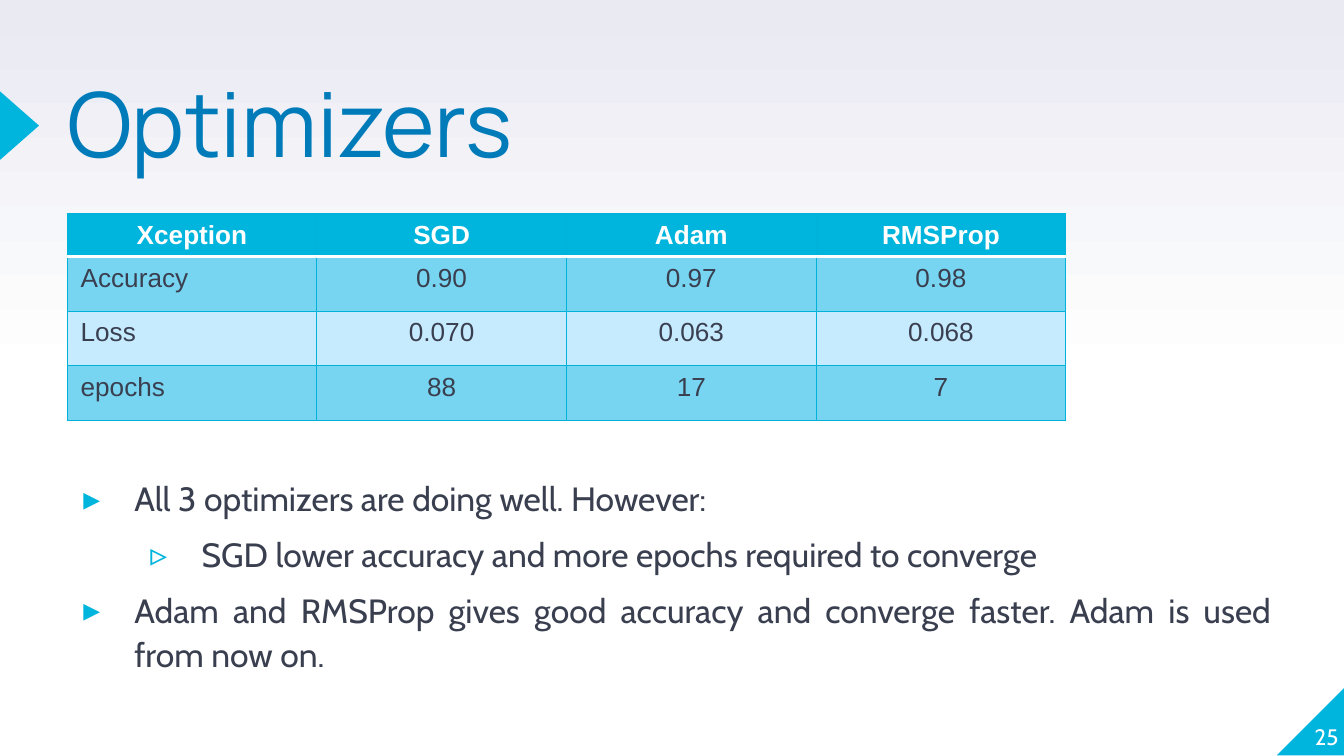
from lxml import etree
from pptx import Presentation
from pptx.dml.color import RGBColor
from pptx.enum.shapes import MSO_SHAPE
from pptx.enum.text import MSO_ANCHOR, MSO_AUTO_SIZE, PP_ALIGN
from pptx.oxml.ns import qn
from pptx.util import Inches, Pt

LEFT, CENTER, RIGHT, JUSTIFY = PP_ALIGN.LEFT, PP_ALIGN.CENTER, PP_ALIGN.RIGHT, PP_ALIGN.JUSTIFY
TOP, BOTTOM = MSO_ANCHOR.TOP, MSO_ANCHOR.BOTTOM

CYAN, BLUE, DARK, WHITE = "00B5DD", "007BB9", "3A3F50", "FFFFFF"
BORDER, BAND_DARK, BAND_LIGHT = "00B1D8", "77D5F1", "C6EBFF"

TITLE = "Optimizers"
PAGE = "25"
RESULTS = [
    ("Xception", "SGD", "Adam", "RMSProp"),
    ("Accuracy", "0.90", "0.97", "0.98"),
    ("Loss", "0.070", "0.063", "0.068"),
    ("epochs", "88", "17", "7"),
]
BULLETS = [
    (0, "All 3 optimizers are doing well. However:"),
    (1, "SGD lower accuracy and more epochs required to converge"),
    (0, "Adam and RMSProp gives good accuracy and converge faster. Adam is used from now on."),
]
MARKS = "▸▹"
TABLE_W, TABLE_H, HEADER_H = 7.43, 1.54, 0.32


def rgb(color):
    return RGBColor.from_string(color)


def box(*lengths):
    return [Inches(n) for n in lengths]


def add_run(p, text, size, font, color, bold=False):
    r = p.add_run()
    r.text = text
    r.font.size, r.font.name, r.font.bold = Pt(size), font, bold
    r.font.color.rgb = rgb(color)


def setup_frame(tf, anchor):
    tf.word_wrap = True
    tf.auto_size = MSO_AUTO_SIZE.NONE
    tf.vertical_anchor = anchor
    tf.margin_left = tf.margin_top = tf.margin_right = tf.margin_bottom = 0
    return tf


def add_ornament(slide, kind, *at):
    sp = slide.shapes.add_shape(kind, *box(*at))
    sp.shadow.inherit = False
    sp.fill.solid()
    sp.fill.fore_color.rgb = rgb(CYAN)
    sp.line.fill.background()
    return sp


def set_bullet(p, level):
    pPr = p._p.get_or_add_pPr()
    pPr.set("marL", str(Inches(0.5 * (level + 1))))
    pPr.set("indent", str(Inches(-0.38)))
    clr = etree.SubElement(pPr, qn("a:buClr"))
    etree.SubElement(clr, qn("a:srgbClr"), val=CYAN)
    etree.SubElement(pPr, qn("a:buFont"), typeface="Cabin")
    etree.SubElement(pPr, qn("a:buChar"), char=MARKS[level])


def set_borders(cell, top, bottom):
    """Draw thin sides, with top and bottom as (colour, points) pairs."""
    thin = (BORDER, 0.75)
    tcPr = cell._tc.get_or_add_tcPr()
    sides = [("lnL", thin), ("lnR", thin), ("lnT", top), ("lnB", bottom)]
    for i, (side, (color, width)) in enumerate(sides):
        ln = etree.Element(qn("a:" + side), w=str(Pt(width)))
        fill = etree.SubElement(ln, qn("a:solidFill"))
        etree.SubElement(fill, qn("a:srgbClr"), val=color)
        tcPr.insert(i, ln)


def add_results(slide):
    n_rows, n_cols = len(RESULTS), len(RESULTS[0])
    row_h = (TABLE_H - HEADER_H) / (n_rows - 1)
    thin, thick = (BORDER, 0.75), (WHITE, 2)
    table = slide.shapes.add_table(
        n_rows, n_cols, *box(0.5, 1.59, TABLE_W, TABLE_H)).table
    for col in table.columns:
        col.width = Inches(TABLE_W / n_cols)
    for i, row in enumerate(RESULTS):
        header = i == 0
        table.rows[i].height = Inches(HEADER_H if header else row_h)
        band = CYAN if header else BAND_DARK if i % 2 else BAND_LIGHT
        for j, text in enumerate(row):
            cell = table.cell(i, j)
            cell.fill.solid()
            cell.fill.fore_color.rgb = rgb(band)
            p = cell.text_frame.paragraphs[0]
            p.alignment = CENTER if header or j else LEFT
            add_run(p, text, 14, "Arial", WHITE if header else DARK, header)
            set_borders(cell, thick if i == 1 else thin, thick if header else thin)


def add_bullets(slide):
    tf = setup_frame(slide.shapes.add_textbox(*box(0.5, 3.53, 8.96, 1.86)).text_frame, TOP)
    for i, (level, text) in enumerate(BULLETS):
        p = tf.add_paragraph() if i else tf.paragraphs[0]
        p.level = level
        set_bullet(p, level)
        p.alignment = JUSTIFY
        p.line_spacing = 1.1
        p.space_before = Pt(6 if i else 0)
        add_run(p, text, 18, "Cabin", DARK)


def main():
    prs = Presentation()
    prs.slide_width = Inches(10)
    prs.slide_height = prs.slide_width * 9 // 16
    slide = prs.slides.add_slide(prs.slide_layouts[5])

    bg = slide.background.fill
    bg.gradient()
    bg.gradient_angle = 90
    for stop, (pos, color) in zip(bg.gradient_stops, [(0.5, WHITE), (1, "E9EAF2")]):
        stop.position = pos
        stop.color.rgb = rgb(color)

    corner = add_ornament(slide, MSO_SHAPE.RIGHT_TRIANGLE, 9.5, 5.11, 0.51, 0.51)
    corner._element.spPr.xfrm.set("flipH", "1")
    pointer = add_ornament(slide, MSO_SHAPE.ISOSCELES_TRIANGLE, -0.11, 0.79, 0.51, 0.29)
    pointer.rotation = 90

    title = slide.shapes.title
    title.left, title.top, title.width, title.height = box(0.5, 0.66, 9.5, 0.67)
    p = setup_frame(title.text_frame, TOP).paragraphs[0]
    p.alignment, p.line_spacing = LEFT, 0.8
    add_run(p, TITLE, 48, "Manrope", BLUE)

    number = slide.shapes.add_textbox(*box(9.46, 5.07, 0.5, 0.51))
    p = setup_frame(number.text_frame, BOTTOM).paragraphs[0]
    p.alignment = RIGHT
    add_run(p, PAGE, 12, "Cabin", WHITE)

    add_results(slide)
    add_bullets(slide)
    prs.save("out.pptx")


if __name__ == "__main__":
    main()
